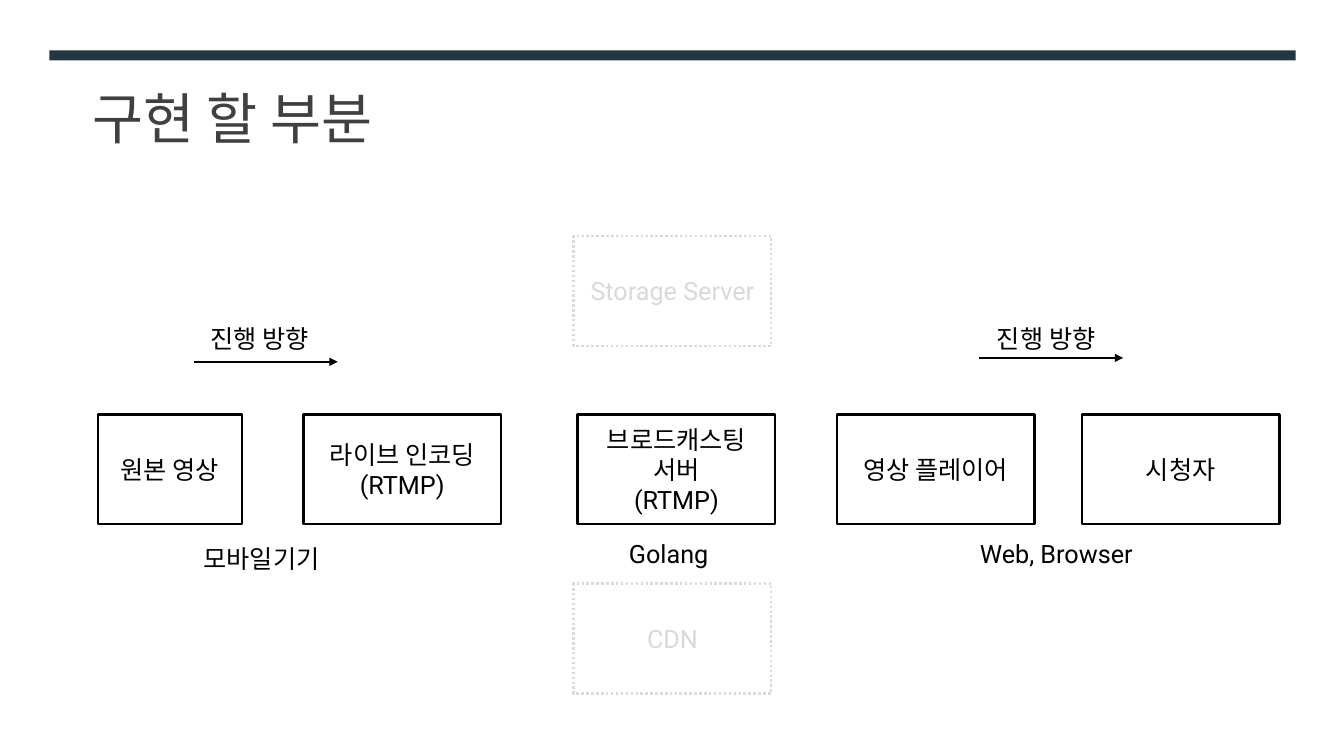
from lxml import etree
from pptx import Presentation
from pptx.dml.color import RGBColor
from pptx.enum.dml import MSO_LINE
from pptx.enum.shapes import MSO_CONNECTOR, MSO_SHAPE
from pptx.enum.text import MSO_ANCHOR, MSO_AUTO_SIZE, PP_ALIGN
from pptx.oxml.ns import qn
from pptx.util import Inches, Pt

RECTANGLE = MSO_SHAPE.RECTANGLE
STRAIGHT = MSO_CONNECTOR.STRAIGHT
DOTTED = MSO_LINE.ROUND_DOT
MIDDLE = MSO_ANCHOR.MIDDLE
CENTER = PP_ALIGN.CENTER
LEFT = PP_ALIGN.LEFT
FIT_SHAPE = MSO_AUTO_SIZE.SHAPE_TO_FIT_TEXT

COLORS = {
    "paper": "FFFFFF",
    "band": "243641",
    "title": "404040",
    "ink": "000000",
    "faded": "D9D9D9",
}
FONT = "Roboto"
BODY_SIZE = 18
BOX_HEIGHT = 1.09
BOX_WIDTH = 1.96
STAGE_TOP = 4.11
SIDE_LEFT = 5.69
ARROW_LENGTH = 1.43

TITLE = "구현 할 부분"
STAGES = [
    (0.97, 1.43, ["원본 영상"]),
    (3.01, BOX_WIDTH, ["라이브 인코딩", "(RTMP)"]),
    (5.73, BOX_WIDTH, ["브로드캐스팅 서버\n(RTMP)"]),
    (8.3, BOX_WIDTH, ["영상 플레이어"]),
    (10.73, BOX_WIDTH, ["시청자"]),
]
SIDE_SERVERS = [(2.34, "Storage Server"), (5.79, "CDN")]
DIRECTIONS = [(1.92, 3.59), (9.71, 3.55)]
LABELS = [
    (1.99, 3.16, 1.27, "진행 방향"),
    (9.79, 3.16, 1.27, "진행 방향"),
    (1.92, 5.34, 1.53, "모바일기기"),
    (6.14, 5.29, 1.06, "Golang"),
    (9.62, 5.29, 1.8, "Web, Browser"),
]


def rgb(name):
    return RGBColor.from_string(COLORS[name])


def write(frame, lines, color, size=BODY_SIZE, align=CENTER):
    for index, line in enumerate(lines):
        paragraph = frame.paragraphs[0] if index == 0 else frame.add_paragraph()
        paragraph.text = line
        paragraph.alignment = align
        paragraph.font.name = FONT
        paragraph.font.size = Pt(size)
        paragraph.font.color.rgb = rgb(color)


def add_rectangle(slide, left, top, width, height, fill):
    rectangle = slide.shapes.add_shape(
        RECTANGLE, Inches(left), Inches(top), Inches(width), Inches(height))
    rectangle.shadow.inherit = False
    rectangle.fill.solid()
    rectangle.fill.fore_color.rgb = rgb(fill)
    rectangle.line.fill.background()
    return rectangle


def add_box(slide, left, top, width, lines, color, dash=None):
    box = add_rectangle(slide, left, top, width, BOX_HEIGHT, "paper")
    box.line.color.rgb = rgb(color)
    box.line.width = Pt(1.75)
    if dash:
        box.line.dash_style = dash
    box.text_frame.word_wrap = True
    box.text_frame.vertical_anchor = MIDDLE
    write(box.text_frame, lines, color)


def add_arrow(slide, left, top):
    arrow = slide.shapes.add_connector(
        STRAIGHT, Inches(left), Inches(top), Inches(left + ARROW_LENGTH), Inches(top))
    arrow.line.color.rgb = rgb("ink")
    arrow.line.width = Pt(1)
    etree.SubElement(arrow.line._get_or_add_ln(), qn("a:tailEnd"), type="triangle")
    etree.SubElement(arrow._element.spPr, qn("a:effectLst"))


def add_text(slide, left, top, width, height):
    return slide.shapes.add_textbox(
        Inches(left), Inches(top), Inches(width), Inches(height)).text_frame


def main():
    deck = Presentation()
    deck.slide_width = Inches(13.33)
    deck.slide_height = Inches(7.5)
    slide = deck.slides.add_slide(deck.slide_layouts[6])
    slide.background.fill.solid()
    slide.background.fill.fore_color.rgb = rgb("paper")

    add_rectangle(slide, 0.49, 0.5, 12.36, 0.1, "band")

    title = add_text(slide, 0.62, 0.78, 3.37, 0.85)
    title.word_wrap = True
    title.vertical_anchor = MIDDLE
    write(title, [TITLE], "title", 39.6)
    title.paragraphs[0].line_spacing = 0.9

    for left, width, lines in STAGES:
        add_box(slide, left, STAGE_TOP, width, lines, "ink")
    for top, name in SIDE_SERVERS:
        add_box(slide, SIDE_LEFT, top, BOX_WIDTH, [name], "faded", DOTTED)
    for left, top in DIRECTIONS:
        add_arrow(slide, left, top)
    for left, top, width, label in LABELS:
        frame = add_text(slide, left, top, width, 0.4)
        frame.word_wrap = False
        frame.auto_size = FIT_SHAPE
        write(frame, [label], "ink", align=LEFT)

    deck.save("out.pptx")


if __name__ == "__main__":
    main()
